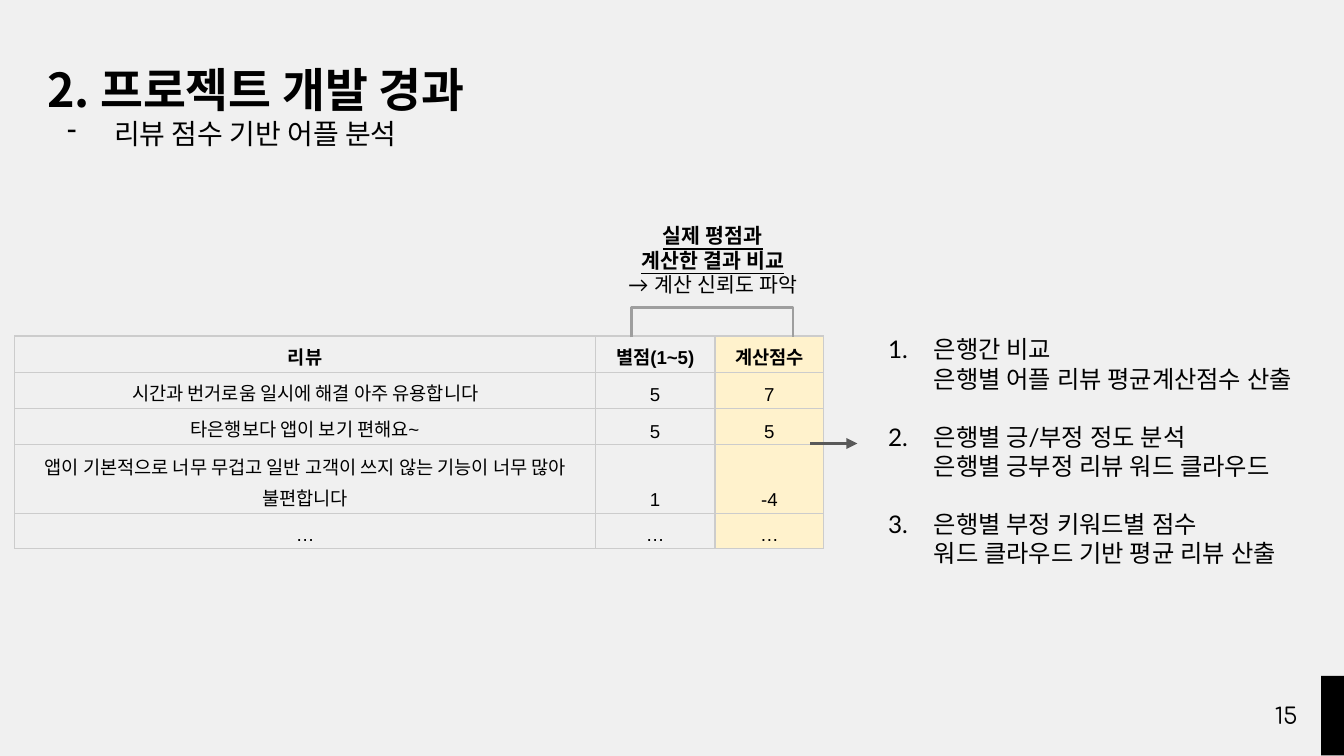
import pptx
import pptx.util
import pptx.dml.color
import pptx.enum.shapes
import pptx.enum.text
import pptx.oxml
import pptx.oxml.ns

Inches = pptx.util.Inches
Pt = pptx.util.Pt
SHAPE = pptx.enum.shapes.MSO_SHAPE
ALIGN = pptx.enum.text.PP_ALIGN
ANCHOR = pptx.enum.text.MSO_ANCHOR

KOREAN_FACE = "Noto Sans CJK KR"
COLORS = {"page": "F0F0F0", "ink": "000000", "border": "CCCCCC",
          "score": "FFF2CC", "bracket": "9E9E9E", "arrow": "595959"}
REVIEWS = [
    ("리뷰", "별점(1~5)", "계산점수"),
    ("시간과 번거로움 일시에 해결 아주 유용합니다", "5", "7"),
    ("타은행보다 앱이 보기 편해요~", "5", "5"),
    ("앱이 기본적으로 너무 무겁고 일반 고객이 쓰지 않는 기능이 너무 많아 불편합니다", "1", "-4"),
    ("…", "…", "…"),
]
COLUMN_WIDTHS = (4.32, 0.89, 0.81)
ROW_HEIGHTS = (0.27, 0.27, 0.27, 0.51, 0.26)
ANALYSES = [
    ("은행간 비교", "은행별 어플 리뷰 평균계산점수 산출"),
    ("은행별 긍/부정 정도 분석", "은행별 긍부정 리뷰 워드 클라우드"),
    ("은행별 부정 키워드별 점수", "워드 클라우드 기반 평균 리뷰 산출"),
]


def color(name):
    """Return the named colour."""
    return pptx.dml.color.RGBColor.from_string(COLORS[name])


def add_xml(parent, tag, body="", attributes=""):
    """Append a DrawingML element to a parent element."""
    namespace = pptx.oxml.ns.nsdecls("a")
    parent.append(pptx.oxml.parse_xml(f"<a:{tag} {namespace} {attributes}>{body}</a:{tag}>"))


def add_run(para, text, size, face, bold=False, underline=False, korean_face=None):
    """Add one formatted run, with a separate Korean face if one is given."""
    span = para.add_run()
    span.text = text
    span.font.size = Pt(size)
    span.font.bold = bold
    span.font.underline = underline
    span.font.color.rgb = color("ink")
    span.font.name = face
    add_xml(span.font._element, "ea", attributes=f'typeface="{korean_face or face}"')


def indent(para, left, hanging=0, marker=None):
    """Set the indents and an optional marker given as tag and attributes."""
    properties = para._p.get_or_add_pPr()
    properties.set("marL", str(Inches(left)))
    properties.set("indent", str(Inches(-hanging)))
    if marker:
        add_xml(properties, "buClr", f'<a:srgbClr val="{COLORS["ink"]}"/>')
        add_xml(properties, marker[0], attributes=marker[1])


def prepare_frame(shape, anchor=ANCHOR.TOP):
    """Give a text shape even insets, wrapping and an anchor."""
    frame = shape.text_frame
    frame.auto_size = pptx.enum.text.MSO_AUTO_SIZE.NONE
    frame.word_wrap = True
    frame.vertical_anchor = anchor
    frame.margin_left = frame.margin_right = Inches(0.1)
    frame.margin_top = frame.margin_bottom = Inches(0.1)
    return frame


def add_text_box(page, box, anchor=ANCHOR.TOP):
    """Add a text box and return its frame."""
    return prepare_frame(page.shapes.add_textbox(*map(Inches, box)), anchor)


def next_para(frame, index):
    """Return the first paragraph, or a new one after it."""
    return frame.add_paragraph() if index else frame.paragraphs[0]


def add_heading(page, box):
    """Fill the title placeholder with the section and its topic."""
    title = page.shapes.title
    title.left, title.top, title.width, title.height = map(Inches, box)
    frame = prepare_frame(title)
    for index, (text, size) in enumerate([("2. 프로젝트 개발 경과", 25), ("리뷰 점수 기반 어플 분석", 15)]):
        para = next_para(frame, index)
        para.alignment = ALIGN.LEFT
        para.line_spacing = 1.0
        para.space_before = Pt(0)
        if index:
            indent(para, 0.5, 0.35, ("buChar", 'char="-"'))
        add_run(para, text, size, KOREAN_FACE, bold=index == 0)


def format_cell(cell, text, bold, filled):
    """Write, border and fill one review cell."""
    cell.margin_left = cell.margin_right = Inches(0.03)
    cell.margin_top = cell.margin_bottom = Inches(0.02)
    cell.vertical_anchor = ANCHOR.BOTTOM
    para = cell.text_frame.paragraphs[0]
    para.alignment = ALIGN.CENTER
    para.line_spacing = 1.15
    add_run(para, text, 10, "Arial", bold, korean_face=KOREAN_FACE)
    for side in ("lnL", "lnR", "lnT", "lnB"):
        add_xml(cell._tc.get_or_add_tcPr(), side,
                f'<a:solidFill><a:srgbClr val="{COLORS["border"]}"/></a:solidFill>',
                f'w="{Pt(0.75)}"')
    if filled:
        cell.fill.solid()
        cell.fill.fore_color.rgb = color("score")
    else:
        cell.fill.background()


def add_reviews(page, left, top):
    """Add the review table with its highlighted score column."""
    box = (left, top, sum(COLUMN_WIDTHS), sum(ROW_HEIGHTS))
    table = page.shapes.add_table(len(REVIEWS), len(COLUMN_WIDTHS), *map(Inches, box)).table
    for column, width in zip(table.columns, COLUMN_WIDTHS):
        column.width = Inches(width)
    for row, height in zip(table.rows, ROW_HEIGHTS):
        row.height = Inches(height)
    for row_index, texts in enumerate(REVIEWS):
        for column_index, text in enumerate(texts):
            format_cell(table.cell(row_index, column_index), text,
                        row_index == 0, column_index == 2)


def add_comparison(page, box):
    """Add the comparison note and the bracket below it."""
    left, top, width, height = box
    frame = add_text_box(page, box)
    lines = [("실제 평점과", True), ("계산한 결과 비교", True), ("→ 계산 신뢰도 파악", False)]
    for index, (text, strong) in enumerate(lines):
        para = next_para(frame, index)
        para.alignment = ALIGN.CENTER
        add_run(para, text, 11, "Lato", strong, strong)
    bracket = page.shapes.add_shape(SHAPE.LEFT_BRACKET, Inches(left + 0.85), Inches(top + 0.24),
                                    Inches(0.22), Inches(1.2))
    bracket.rotation = 90
    bracket.adjustments[0] = 0
    bracket.shadow.inherit = False
    bracket.fill.background()
    bracket.line.color.rgb = color("bracket")
    bracket.line.width = Pt(1.5)


def add_analyses(page, box):
    """Add the numbered analyses and the arrow leading to them."""
    left, top, width, height = box
    frame = add_text_box(page, box)
    for number, (heading, detail) in enumerate(ANALYSES, 1):
        para = next_para(frame, number - 1)
        indent(para, 0.5, 0.34, ("buAutoNum", f'type="arabicPeriod" startAt="{number}"'))
        if number > 1:
            para.space_before = Pt(15.6)
        add_run(para, heading, 13, "Lato")
        para = frame.add_paragraph()
        indent(para, 0.5)
        add_run(para, detail, 13, "Lato")
    arrow = page.shapes.add_connector(
        pptx.enum.shapes.MSO_CONNECTOR.STRAIGHT, Inches(left - 0.32), Inches(top + 0.91),
        Inches(left + 0.03), Inches(top + 0.91))
    arrow.line.color.rgb = color("arrow")
    arrow.line.width = Pt(1.5)
    add_xml(arrow.line._get_or_add_ln(), "tailEnd", attributes='type="triangle"')
    add_xml(arrow._element.spPr, "effectLst")


def add_footer(page, box):
    """Add the page number and the black corner bar."""
    left, top, width, height = box
    bar = page.shapes.add_shape(SHAPE.RECTANGLE, Inches(left + 0.56), Inches(top - 0.08),
                                Inches(0.17), Inches(0.59))
    bar.shadow.inherit = False
    bar.fill.solid()
    bar.fill.fore_color.rgb = color("ink")
    bar.line.fill.background()
    para = add_text_box(page, box, ANCHOR.MIDDLE).paragraphs[0]
    para.alignment = ALIGN.CENTER
    add_run(para, "15", 12, "Comfortaa")


def main():
    """Build the slide and save it."""
    deck = pptx.Presentation()
    deck.slide_width, deck.slide_height = Inches(10), Inches(10 * 9 / 16)
    page = deck.slides.add_slide(deck.slide_layouts[5])
    page.background.fill.solid()
    page.background.fill.fore_color.rgb = color("page")
    add_footer(page, (9.27, 5.11, 0.6, 0.43))
    add_heading(page, (0.25, 0.35, 4.02, 0.41))
    add_reviews(page, 0.11, 2.5)
    add_comparison(page, (4.34, 1.56, 1.93, 0.76))
    add_analyses(page, (6.35, 2.39, 4.12, 1.95))
    deck.save("out.pptx")


if __name__ == "__main__":
    main()
